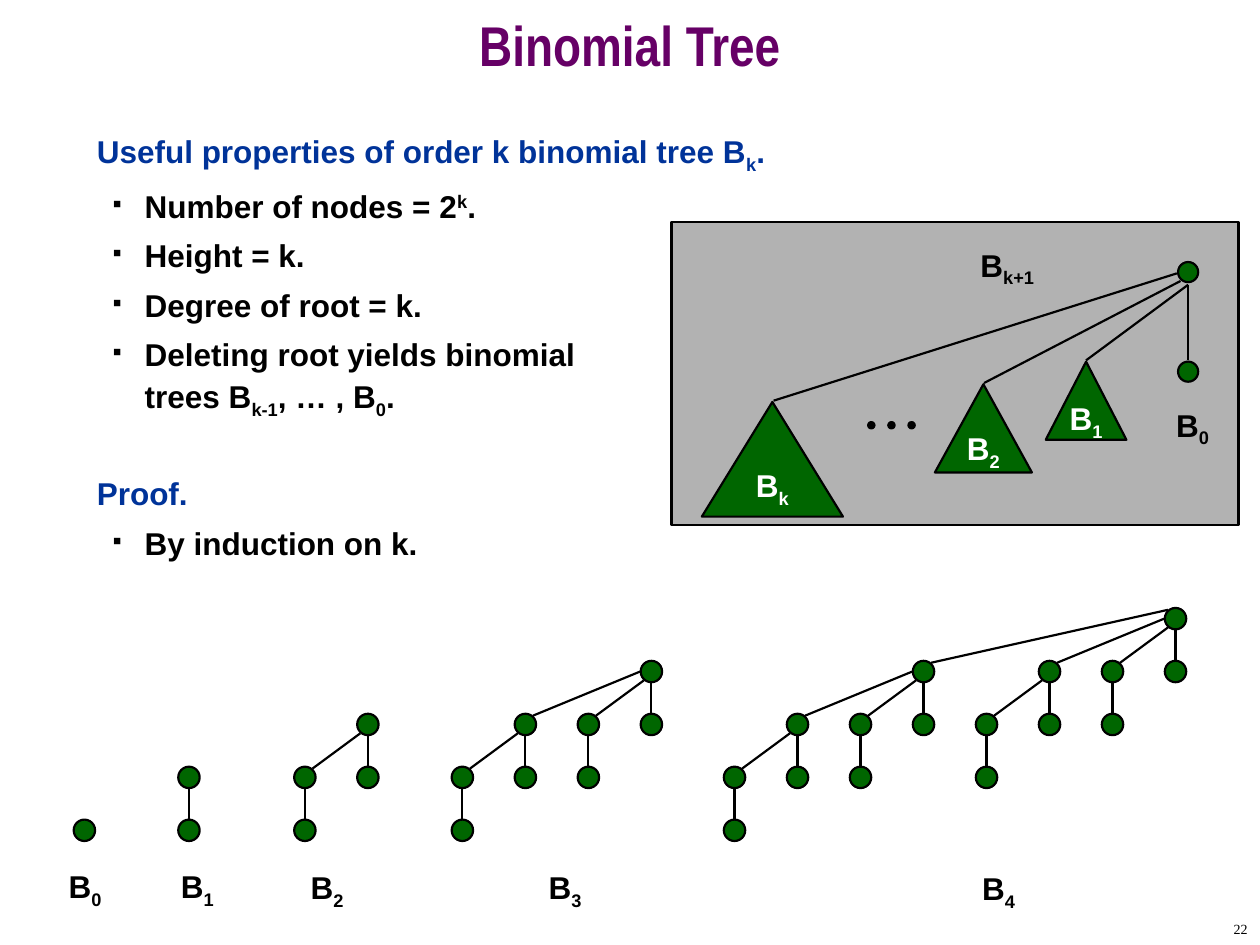
from lxml.etree import SubElement
from pptx import Presentation
from pptx.dml.color import RGBColor
from pptx.enum.shapes import MSO_CONNECTOR, MSO_SHAPE
from pptx.enum.text import MSO_ANCHOR, PP_ALIGN
from pptx.oxml.ns import qn
from pptx.util import Inches, Pt

PURPLE = RGBColor(0x66, 0x00, 0x66)
BLUE = RGBColor(0x00, 0x33, 0x99)
GREEN = RGBColor(0x00, 0x66, 0x00)
GRAY = RGBColor(0xB2, 0xB2, 0xB2)
BLACK = RGBColor(0x00, 0x00, 0x00)
WHITE = RGBColor(0xFF, 0xFF, 0xFF)
LINE_WIDTH = Pt(1.25)
BASELINES = {"_": "-25000", "^": "30000"}


def write(paragraph, text, size=18, font="Arial", color=BLACK, bold=True,
          align=PP_ALIGN.LEFT, spacing=1.0, before=0):
    """Fill a paragraph; "|" splits runs, "_" and "^" lower or raise a run."""
    paragraph.alignment = align
    paragraph.line_spacing = spacing
    paragraph.space_before = Pt(before)
    for part in text.split("|"):
        if part == "\n":
            paragraph.add_line_break()
            continue
        run = paragraph.add_run()
        run.text = part.lstrip("_^")
        run.font.size = Pt(size)
        run.font.name = font
        run.font.bold = bold
        run.font.color.rgb = color
        if part[0] in BASELINES:
            run.font._element.set("baseline", BASELINES[part[0]])


def draw_shape(kind, left, top, width, height, fill):
    shape = slide.shapes.add_shape(kind, Inches(left), Inches(top), Inches(width), Inches(height))
    shape.shadow.inherit = False
    shape.fill.solid()
    shape.fill.fore_color.rgb = fill
    shape.line.color.rgb = BLACK
    shape.line.width = LINE_WIDTH
    return shape


prs = Presentation()
prs.slide_width, prs.slide_height = Inches(10), Inches(7.5)
slide = prs.slides.add_slide(prs.slide_layouts[5])

# Title
title = slide.shapes.title
title.left, title.top, title.width, title.height = 0, 0, Inches(10), Inches(0.83)
title.text_frame.vertical_anchor = MSO_ANCHOR.MIDDLE
write(title.text_frame.paragraphs[0], "Binomial Tree", size=32, font="Arial Narrow",
      color=PURPLE, align=PP_ALIGN.CENTER, spacing=0.7)

# Properties and proof: text, is a heading, space before
statements = [
    ("Useful properties of order k binomial tree B|_k|.", True, 0),
    ("Number of nodes = 2|^k|.", False, 4.5),
    ("Height = k.", False, 4.5),
    ("Degree of root = k.", False, 4.5),
    ("Deleting root yields binomial|\n|trees B|_k-1|, … , B|_0|.", False, 4.5),
    ("Proof.", True, 31),
    ("By induction on k.", False, 4.5),
]
body = slide.shapes.add_textbox(Inches(0.67), Inches(1), Inches(8.58), Inches(5.92)).text_frame
body.word_wrap = True
for index, (statement, is_heading, before) in enumerate(statements):
    paragraph = body.add_paragraph() if index else body.paragraphs[0]
    if not is_heading:
        properties = paragraph._p.get_or_add_pPr()
        properties.set("marL", str(Inches(0.38)))
        properties.set("indent", str(Inches(-0.25)))
        bullet_color = SubElement(properties, qn("a:buClr"))
        SubElement(bullet_color, qn("a:srgbClr")).set("val", str(BLACK))
        SubElement(properties, qn("a:buSzPct")).set("val", "35000")
        SubElement(properties, qn("a:buChar")).set("char", "■")
    write(paragraph, statement, color=BLUE if is_heading else BLACK,
          spacing=1.0 if is_heading else 1.1, before=before)

# Recursive structure of the tree of order k+1
draw_shape(MSO_SHAPE.RECTANGLE, 5.33, 1.76, 4.5, 2.41, GRAY)
subtrees = [
    ("B|_1", 8.3, 2.87, 0.64, 0.62),
    ("B|_2", 7.42, 3.05, 0.77, 0.7),
    ("B|_k", 5.57, 3.19, 1.12, 0.91),
]
for name, *box in subtrees:
    subtree = draw_shape(MSO_SHAPE.ISOSCELES_TRIANGLE, *box, GREEN).text_frame
    subtree.word_wrap = False
    subtree.vertical_anchor = MSO_ANCHOR.MIDDLE
    write(subtree.paragraphs[0], name, color=WHITE, align=PP_ALIGN.CENTER)
for step in range(3):
    draw_shape(MSO_SHAPE.OVAL, 6.89 + 0.16 * step, 3.35, 0.05, 0.05, BLACK)

nodes = [(9.43, 2.16, 0.16), (9.43, 2.95, 0.16)]  # centre x, centre y, diameter
edges = [
    ((9.43, 2.26), (9.43, 2.86)),
    ((9.43, 2.26), (8.62, 2.86)),
    ((9.37, 2.23), (7.81, 3.04)),
    ((9.34, 2.17), (6.14, 3.18)),
]

# Trees of order 0 to 4: the bits of a node number are the child orders on
# its way from the root, so clearing the lowest bit gives the parent.
ROOTS_X = [0.67, 1.5, 2.92, 5.17, 9.33]
LEAF_Y, LEVEL, SIBLING_GAP = 6.59, 0.42, 0.5
PARENT_JOINS = [(0, 0.09), (-0.06, 0.07), (-0.09, 0), (-0.06, -0.07)]
for order, root_x in enumerate(ROOTS_X):
    centers = []
    for number in range(2 ** order):
        depth = bin(number).count("1")
        x = root_x - SIBLING_GAP * (number // 2)
        y = LEAF_Y - LEVEL * (order - depth)
        centers.append((x, y))
        nodes.append((x, y, 0.17))
        if number:
            lowest_bit = number & -number
            child_order = lowest_bit.bit_length() - 1
            parent_x, parent_y = centers[number - lowest_bit]
            join_x, join_y = PARENT_JOINS[child_order]
            child_end = (x + 0.06, y - 0.07) if child_order else (x, y - 0.09)
            edges.append(((parent_x + join_x, parent_y + join_y), child_end))

for start, end in edges:
    edge = slide.shapes.add_connector(MSO_CONNECTOR.STRAIGHT, *map(Inches, start + end))
    edge.line.color.rgb = BLACK
    edge.line.width = LINE_WIDTH
    SubElement(edge._element.spPr, qn("a:effectLst"))
for x, y, diameter in nodes:
    draw_shape(MSO_SHAPE.OVAL, x - diameter / 2, y - diameter / 2, diameter, diameter, GREEN)

# Tree labels: text, left, top, width
labels = [
    ("B|_0", 0.33, 6.83, 0.69),
    ("B|_1", 1.22, 6.83, 0.69),
    ("B|_2", 2.25, 6.84, 0.69),
    ("B|_3", 4.14, 6.84, 0.69),
    ("B|_4", 7.58, 6.85, 0.69),
    ("B|_k+1", 7.66, 1.9, 0.67),
    ("B|_0", 9.17, 3.17, 0.59),
]
for name, left, top, width in labels:
    label = slide.shapes.add_textbox(Inches(left), Inches(top), Inches(width), Inches(0.44))
    label.text_frame.word_wrap = True
    write(label.text_frame.paragraphs[0], name, align=PP_ALIGN.CENTER)

# Page number
page = slide.shapes.add_textbox(Inches(7.92), Inches(7.25), Inches(2.08), Inches(0.25)).text_frame
page.word_wrap = True
page.vertical_anchor = MSO_ANCHOR.MIDDLE
write(page.paragraphs[0], "22", size=8, font="Times New Roman", bold=False, align=PP_ALIGN.RIGHT)

prs.save("out.pptx")
